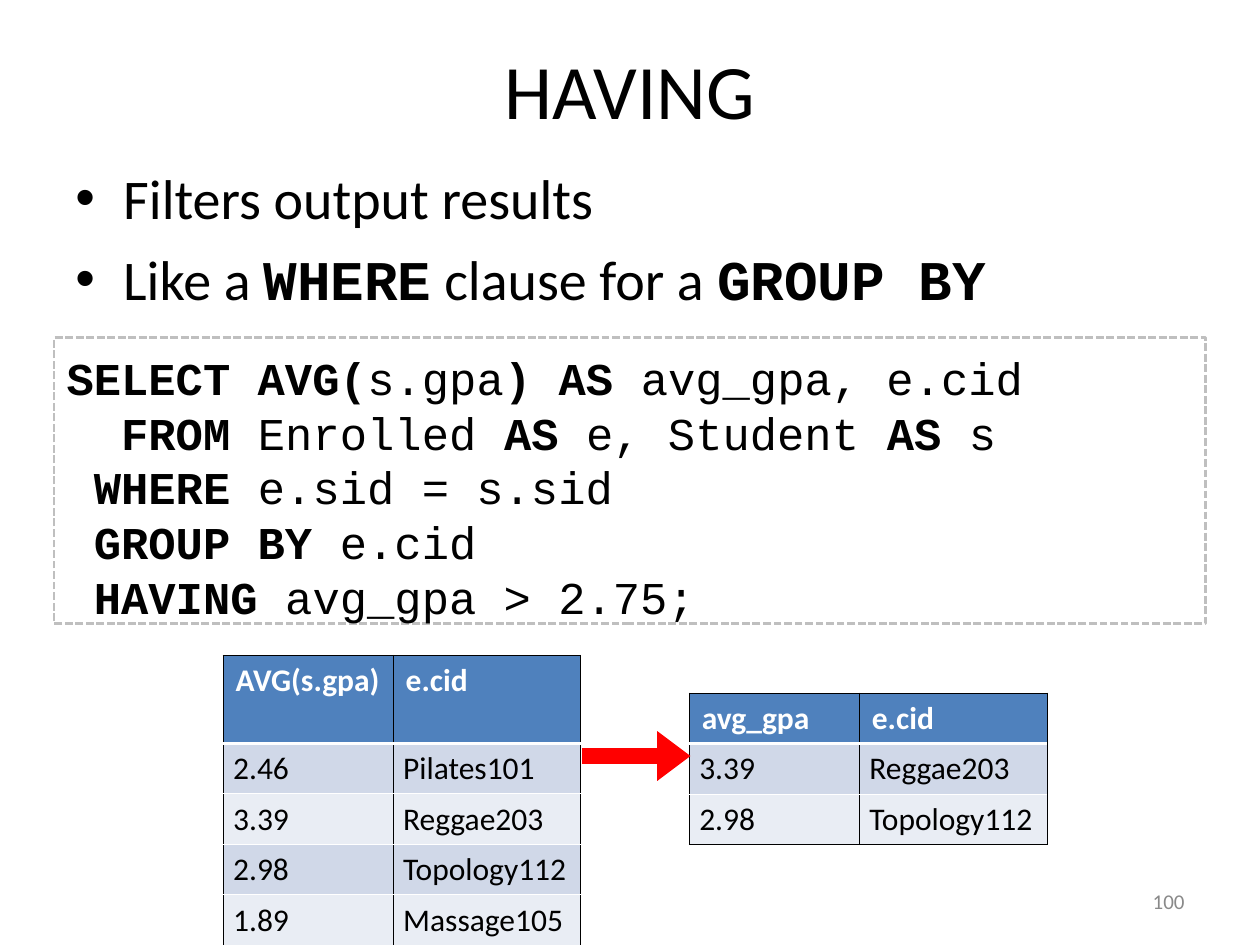
from pptx import Presentation
from pptx.dml.color import RGBColor
from pptx.enum.dml import MSO_LINE
from pptx.enum.shapes import MSO_CONNECTOR, MSO_SHAPE
from pptx.enum.text import MSO_ANCHOR, PP_ALIGN
from pptx.oxml.ns import qn
from pptx.util import Inches, Pt
from lxml.etree import SubElement

BODY, CODE = "Calibri", "Courier New"
BLACK, WHITE, RED = "000000", "FFFFFF", "FF0000"
HEAD, BANDS = "4F81BD", ("D0D8E8", "E9EDF4")

POINTS = [
    ["Filters output results"],
    ["Like a ", "WHERE", " clause for a ", "GROUP BY"],
]
QUERY = [
    ["", "SELECT AVG(", "s.gpa", ") AS ", "avg_gpa, e.cid"],
    ["", "  FROM ", "Enrolled ", "AS", " e, Student ", "AS", " s"],
    ["", " WHERE ", "e.sid = s.sid"],
    [" ", "GROUP BY", " e.cid"],
    [" ", "HAVING", " avg_gpa > 2.75;"],
]
GROUPS = [
    ("AVG(s.gpa)", "e.cid"),
    ("2.46", "Pilates101"),
    ("3.39", "Reggae203"),
    ("2.98", "Topology112"),
    ("1.89", "Massage105"),
]
KEPT = [("avg_gpa", "e.cid")] + GROUPS[2:4]


def color(code):
    return RGBColor.from_string(code)


def style(run, size, tint=BLACK, face=BODY, bold=False):
    font = run.font
    font.size, font.name, font.bold = Pt(size), face, bold
    font.color.rgb = color(tint)


def fill_lines(frame, lines, size, plain, strong):
    frame.word_wrap = True
    for row, parts in enumerate(lines):
        para = frame.paragraphs[0] if row == 0 else frame.add_paragraph()
        para.alignment = PP_ALIGN.LEFT
        for spot, part in enumerate(parts):
            if part:
                run = para.add_run()
                run.text = part
                bold = spot % 2 == 1
                style(run, size, face=strong if bold else plain, bold=bold)


def add_title(slide, text):
    title = slide.shapes.title
    title.left, title.top = Inches(0.5), Inches(0.08)
    title.width, title.height = Inches(9), Inches(1.25)
    frame = title.text_frame
    frame.text = text
    frame.vertical_anchor = MSO_ANCHOR.MIDDLE
    frame.paragraphs[0].alignment = PP_ALIGN.CENTER
    style(frame.paragraphs[0].runs[0], 44)


def add_points(slide):
    box = slide.shapes.add_textbox(Inches(0.5), Inches(1.25), Inches(9), Inches(4.95))
    fill_lines(box.text_frame, POINTS, 32, BODY, CODE)
    for para in box.text_frame.paragraphs:
        para.space_before = Pt(8)
        props = para._p.get_or_add_pPr()
        props.set("marL", str(Inches(0.38)))
        props.set("indent", str(Inches(-0.38)))
        SubElement(props, qn("a:buFont"), typeface="Arial")
        SubElement(props, qn("a:buChar"), char="•")


def add_query(slide):
    box = slide.shapes.add_shape(
        MSO_SHAPE.RECTANGLE, Inches(0.43), Inches(2.68), Inches(9.14), Inches(2.27)
    )
    box.shadow.inherit = False
    box.fill.background()
    box.line.color.rgb = color("BFBFBF")
    box.line.width = Pt(1.5)
    box.line.dash_style = MSO_LINE.SQUARE_DOT
    dash = box.line._ln.find(qn("a:prstDash"))
    dash.set("val", "sysDash")
    frame = box.text_frame
    frame.vertical_anchor = MSO_ANCHOR.TOP
    frame.margin_top, frame.margin_bottom = Inches(0.1), 0
    fill_lines(frame, QUERY, 26, CODE, CODE)
    for para in frame.paragraphs:
        para.line_spacing = Pt(31.2)


def add_edge(cell, side, tint, width):
    props = cell._tc.get_or_add_tcPr()
    line = SubElement(props, qn("a:" + side), w=str(Pt(width)))
    paint = SubElement(line, qn("a:solidFill"))
    SubElement(paint, qn("a:srgbClr"), val=tint)


def style_cell(cell, text, row, last):
    head = row == 0
    cell.text = text
    cell.margin_left = cell.margin_right = Inches(0.1 if head else 0.08)
    cell.margin_top = cell.margin_bottom = Inches(0.05)
    style(cell.text_frame.paragraphs[0].runs[0], 18, WHITE if head else BLACK, bold=head)
    add_edge(cell, "lnL", BLACK, 0.45)
    add_edge(cell, "lnR", BLACK, 0.45)
    add_edge(cell, "lnT", BLACK if head else WHITE, 1.47 if row == 1 else 0.45)
    add_edge(cell, "lnB", BLACK if row == last else WHITE, 1.47 if head else 0.45)
    cell.fill.solid()
    cell.fill.fore_color.rgb = color(HEAD if head else BANDS[(row - 1) % 2])


def add_grid(slide, left, top, first, data):
    high = first + 0.3 * (len(data) - 1)
    table = slide.shapes.add_table(
        len(data), 2, Inches(left), Inches(top), Inches(2.84), Inches(high)
    ).table
    for col, width in zip(table.columns, (1.35, 1.49)):
        col.width = Inches(width)
    for row, texts in enumerate(data):
        table.rows[row].height = Inches(0.3 if row else first)
        for col, text in enumerate(texts):
            style_cell(table.cell(row, col), text, row, len(data) - 1)


def add_arrow(slide):
    arrow = slide.shapes.add_connector(
        MSO_CONNECTOR.STRAIGHT, Inches(4.62), Inches(6), Inches(5.48), Inches(6)
    )
    arrow.line.color.rgb = color(RED)
    arrow.line.width = Pt(9.5)
    SubElement(arrow.line._ln, qn("a:tailEnd"), type="triangle", w="med", len="sm")
    SubElement(arrow._element.spPr, qn("a:effectLst"))


def add_number(slide, text):
    box = slide.shapes.add_textbox(Inches(7.17), Inches(6.95), Inches(2.33), Inches(0.4))
    frame = box.text_frame
    frame.word_wrap = True
    frame.vertical_anchor = MSO_ANCHOR.MIDDLE
    frame.text = text
    frame.paragraphs[0].alignment = PP_ALIGN.RIGHT
    style(frame.paragraphs[0].runs[0], 12, "898989")


def main():
    deck = Presentation()
    deck.slide_width, deck.slide_height = Inches(10), Inches(7.5)
    slide = deck.slides.add_slide(deck.slide_layouts[5])
    add_title(slide, "HAVING")
    add_points(slide)
    add_query(slide)
    add_grid(slide, 1.77, 5.2, 0.7, GROUPS)
    add_grid(slide, 5.47, 5.5, 0.4, KEPT)
    add_arrow(slide)
    add_number(slide, "100")
    deck.save("out.pptx")


if __name__ == "__main__":
    main()
